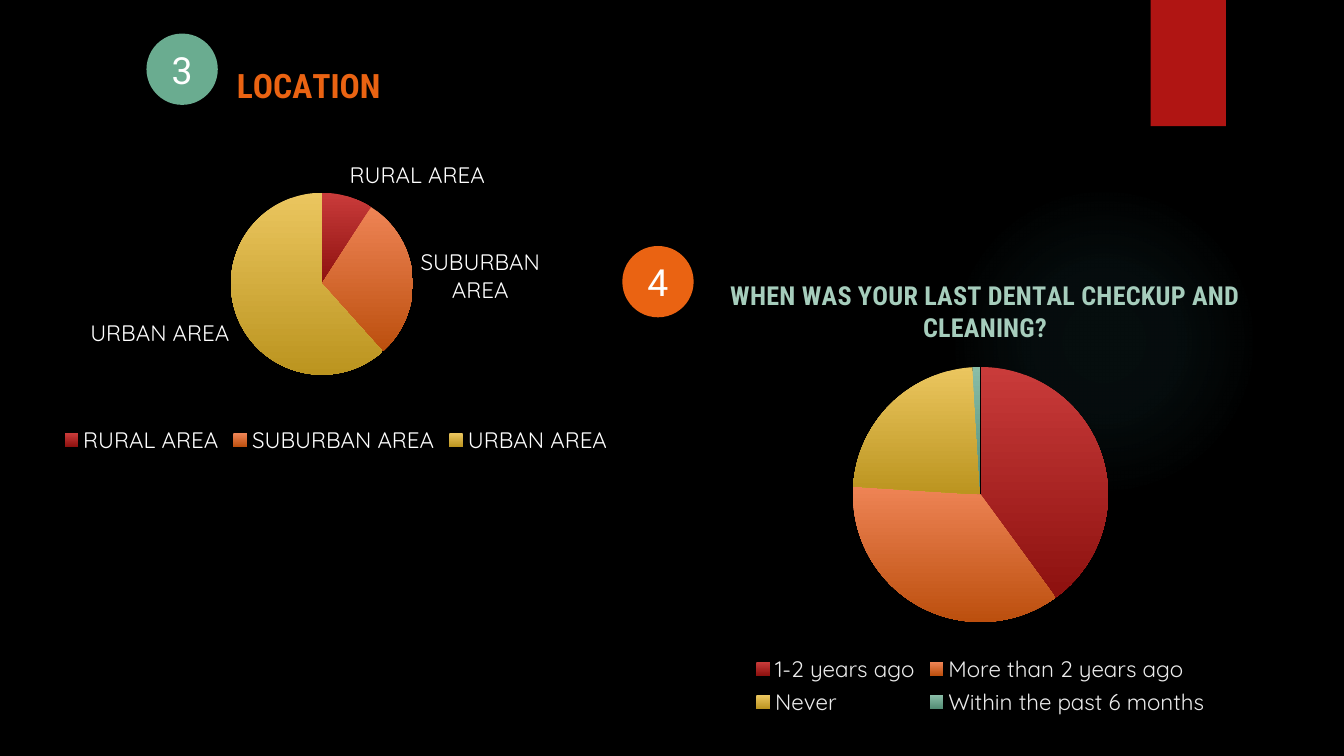
"""Build a slide with two survey pie charts and numbered badges."""
from pptx import Presentation
from pptx.chart.data import CategoryChartData
from pptx.dml.color import RGBColor
from pptx.enum.chart import XL_CHART_TYPE as ChartType
from pptx.enum.chart import XL_LABEL_POSITION as LabelPosition
from pptx.enum.chart import XL_LEGEND_POSITION as LegendPosition
from pptx.enum.shapes import MSO_SHAPE as Shape
from pptx.enum.text import MSO_ANCHOR as Anchor
from pptx.enum.text import PP_ALIGN as Align
from pptx.oxml import parse_xml
from pptx.oxml.ns import nsdecls, qn
from pptx.util import Pt

BLACK = RGBColor(0x00, 0x00, 0x00)
WHITE = RGBColor(0xFF, 0xFF, 0xFF)
PALE = RGBColor(0xEB, 0xEB, 0xEB)
RED = RGBColor(0xB0, 0x15, 0x13)
ORANGE = RGBColor(0xEA, 0x63, 0x12)
GREEN = RGBColor(0x6A, 0xAC, 0x90)
MINT = RGBColor(0xA6, 0xCD, 0xBC)
SLICE_COLORS = [
    (RGBColor(0xC9, 0x3B, 0x3A), RGBColor(0x8D, 0x11, 0x0F)),
    (RGBColor(0xEE, 0x84, 0x55), RGBColor(0xBC, 0x4F, 0x0E)),
    (RGBColor(0xEB, 0xC6, 0x5F), RGBColor(0xBB, 0x94, 0x1F)),
    (RGBColor(0x89, 0xBD, 0xA7), RGBColor(0x53, 0x8C, 0x74)),
]
BODY_FONT, TITLE_FONT, BADGE_FONT = "Quicksand", "Roboto Condensed", "Roboto"
GLOW_STOPS = [(0, 7), (36, 6), (69, 0)]
BADGE_SIZE = 38.2

BADGES = [("3", 78.5, 18, GREEN), ("4", 333.4, 131.8, ORANGE)]
CHARTS = [
    {
        "title": "WHEN WAS YOUR LAST DENTAL CHECKUP AND CLEANING?",
        "title_size": 14, "title_color": MINT, "title_at": (0.18, 0.05),
        "frame": (311.8, 133.2, 427, 253.4),
        "pie": (0.34, 0.25, 0.32, 0.54),
        "legend_color": PALE, "labels": False,
        "data": [("1-2 years ago", 40), ("More than 2 years ago", 36),
                 ("Never", 23), ("Within the past 6 months", 1)],
    },
    {
        "title": "LOCATION",
        "title_size": 18, "title_color": ORANGE, "title_at": (0.35, 0.05),
        "frame": (-7.9, 19.4, 375.8, 226.8),
        "pie": (0.35, 0.37, 0.26, 0.43),
        "legend_color": WHITE, "labels": True,
        "data": [("RURAL AREA", 9), ("SUBURBAN AREA", 29), ("URBAN AREA", 61)],
    },
]


def style_font(font, name, size, color, bold=False):
    font.name, font.size, font.bold = name, Pt(size), bold
    font.color.rgb = color


def add_plain_shape(page, kind, frame, color):
    shape = page.shapes.add_shape(kind, *map(Pt, frame))
    shape.shadow.inherit = False
    shape.fill.solid()
    shape.fill.fore_color.rgb = color
    shape.line.fill.background()
    return shape


def add_glow(page):
    glow = add_plain_shape(page, Shape.OVAL, (508.3, 99.4, 166.3, 166.3), BLACK)
    stops = "".join(
        f'<a:gs pos="{place * 1000}"><a:srgbClr val="50B9C1">'
        f'<a:alpha val="{alpha * 1000}"/></a:srgbClr></a:gs>'
        for place, alpha in GLOW_STOPS)
    gradient = parse_xml(
        f'<a:gradFill {nsdecls("a")}><a:gsLst>{stops}</a:gsLst><a:path path="circle">'
        '<a:fillToRect l="50000" t="50000" r="50000" b="50000"/></a:path></a:gradFill>')
    properties = glow.element.spPr
    properties.replace(properties.find(qn("a:solidFill")), gradient)


def set_layout(parent, index, place, inner=False):
    for old in parent.findall(qn("c:layout")):
        parent.remove(old)
    target = '<c:layoutTarget val="inner"/>' if inner else ""
    modes = '<c:xMode val="edge"/><c:yMode val="edge"/>'
    sizes = "".join(f'<c:{key} val="{value}"/>' for key, value in zip("xywh", place))
    parent.insert(index, parse_xml(
        f'<c:layout {nsdecls("c")}><c:manualLayout>{target}{modes}{sizes}'
        '</c:manualLayout></c:layout>'))


def add_pie(page, item):
    data = CategoryChartData()
    data.categories = [name for name, _ in item["data"]]
    data.add_series("Series 1", [value for _, value in item["data"]])
    chart = page.shapes.add_chart(ChartType.PIE, *map(Pt, item["frame"]), data).chart
    style_font(chart.font, BODY_FONT, 10, WHITE)

    chart.has_title = True
    title = chart.chart_title
    title.text_frame.text = item["title"]
    style_font(title.text_frame.paragraphs[0].runs[0].font, TITLE_FONT,
               item["title_size"], item["title_color"], True)
    set_layout(title.element, 1, item["title_at"])
    set_layout(chart.element.find(".//" + qn("c:plotArea")), 0, item["pie"], True)

    chart.has_legend = True
    chart.legend.position = LegendPosition.BOTTOM
    chart.legend.include_in_layout = False
    style_font(chart.legend.font, BODY_FONT, 12, item["legend_color"])

    plot = chart.plots[0]
    plot.vary_by_categories = True
    for index, colors in enumerate(SLICE_COLORS[:len(item["data"])]):
        slice_format = plot.series[0].points[index].format
        slice_format.fill.gradient()
        slice_format.fill.gradient_angle = 270
        for stop, color in zip(slice_format.fill.gradient_stops, colors):
            stop.color.rgb = color
        slice_format.line.fill.background()

    plot.has_data_labels = item["labels"]
    if item["labels"]:
        labels = plot.data_labels
        labels.show_category_name, labels.show_value = True, False
        labels.show_percentage = False
        labels.position = LabelPosition.OUTSIDE_END
        style_font(labels.font, BODY_FONT, 12, WHITE)


def add_badge(page, number, left, top, color):
    badge = add_plain_shape(page, Shape.OVAL, (left, top, BADGE_SIZE, BADGE_SIZE), color)
    frame = badge.text_frame
    frame.margin_left = frame.margin_right = frame.margin_top = frame.margin_bottom = 0
    frame.vertical_anchor = Anchor.MIDDLE
    frame.text = number
    paragraph = frame.paragraphs[0]
    paragraph.alignment = Align.CENTER
    style_font(paragraph.runs[0].font, BADGE_FONT, 20, WHITE)


def main():
    deck = Presentation()
    deck.slide_width, deck.slide_height = Pt(720), Pt(405)
    page = deck.slides.add_slide(deck.slide_layouts[6])
    page.background.fill.solid()
    page.background.fill.fore_color.rgb = BLACK
    add_glow(page)
    add_plain_shape(page, Shape.RECTANGLE, (616.4, 0, 40.4, 67.6), RED)
    for item in CHARTS:
        add_pie(page, item)
    for badge in BADGES:
        add_badge(page, *badge)
    deck.save("out.pptx")


if __name__ == "__main__":
    main()
